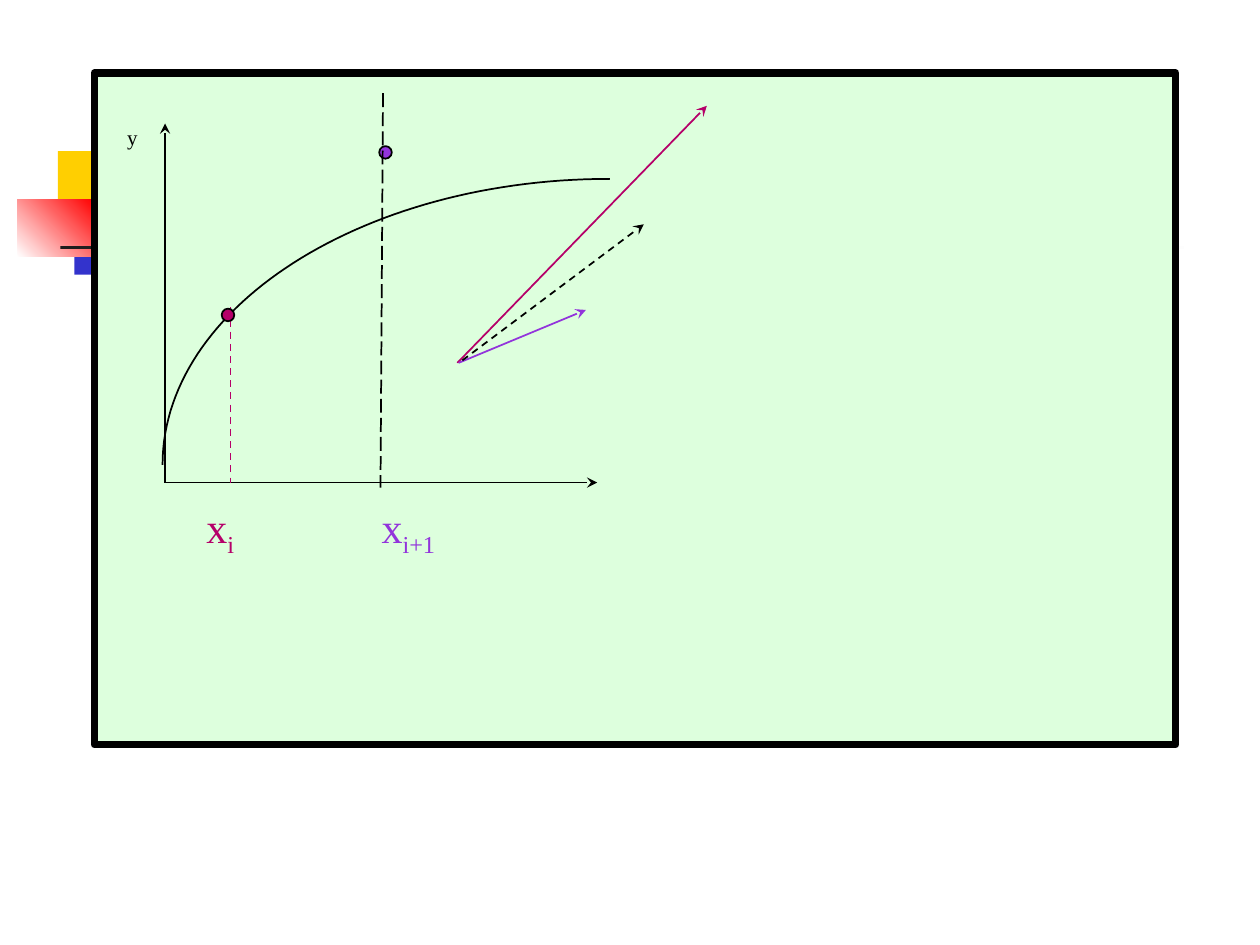
from dataclasses import dataclass
from lxml.etree import SubElement
from pptx import Presentation
from pptx.dml.color import RGBColor
from pptx.enum.dml import MSO_LINE
from pptx.enum.shapes import MSO_CONNECTOR, MSO_SHAPE
from pptx.enum.text import MSO_AUTO_SIZE
from pptx.oxml.ns import qn
from pptx.util import Inches, Pt


@dataclass(frozen=True)
class Theme:
    black: str = "000000"
    white: str = "FFFFFF"
    ink: str = "1C1C1C"
    yellow: str = "FFCF01"
    blue: str = "3333CC"
    red: str = "FF0000"
    mint: str = "DDFFDD"
    start: str = "B50069"
    end: str = "9234DB"
    font: str = "Times New Roman"
    axis_size: int = 12
    label_size: int = 24
    thin: float = 1
    frame: float = 4.5


theme = Theme()
COLUMNS, ROWS = 100, 75
deck = Presentation()
deck.slide_width, deck.slide_height = Inches(10), Inches(7.5)
cell = deck.slide_width // COLUMNS
slide = deck.slides.add_slide(deck.slide_layouts[6])
shapes = slide.shapes


def add_text(runs, *, left, top, width, height, size, wrap=False, tab=None):
    box = shapes.add_textbox(*[int(v * cell) for v in (left, top, width, height)])
    frame = box.text_frame
    frame.word_wrap = wrap
    frame.auto_size = MSO_AUTO_SIZE.SHAPE_TO_FIT_TEXT
    paragraph = frame.paragraphs[0]
    if tab:
        stops = SubElement(paragraph._p.get_or_add_pPr(), qn("a:tabLst"))
        SubElement(stops, qn("a:tab"), pos=str(int(tab * cell)), algn="l")
    for text, color, baseline in runs:
        run = paragraph.add_run()
        run.text = text
        run.font.name = theme.font
        run.font.size = Pt(size)
        run.font.color.rgb = RGBColor.from_string(color)
        if baseline:
            run._r.get_or_add_rPr().set("baseline", str(baseline * 1000))


def add_line(start, finish, color, dash=None, arrow=False):
    ends = [int(v * cell) for v in (*start, *finish)]
    line = shapes.add_connector(MSO_CONNECTOR.STRAIGHT, *ends)
    line.line.color.rgb = RGBColor.from_string(color)
    line.line.width = Pt(theme.thin)
    if dash:
        line.line.dash_style = dash
    if arrow:
        SubElement(line.line._get_or_add_ln(), qn("a:tailEnd"), type="stealth")
    SubElement(line._element.spPr, qn("a:effectLst"))


panels = [
    (4.6, 12, 4.8, 5.2, [theme.yellow], 0, None),
    (5.9, 16.6, 4.6, 5.2, [theme.blue], 0, None),
    (1.4, 15.8, 6.1, 4.6, [theme.white, theme.red], 45, None),
    (4.8, 19.5, 90, 0.3, [theme.ink, theme.white], 0, None),
    (7.5, 5.8, 85.8, 53.3, [theme.mint], 0, theme.frame),
]
for left, top, width, height, colors, angle, border in panels:
    panel = shapes.add_shape(
        MSO_SHAPE.RECTANGLE, *[int(v * cell) for v in (left, top, width, height)]
    )
    panel.shadow.inherit = False
    if len(colors) == 1:
        panel.fill.solid()
        panel.fill.fore_color.rgb = RGBColor.from_string(colors[0])
    else:
        panel.fill.gradient()
        panel.fill.gradient_angle = angle
        for stop, color in zip(panel.fill.gradient_stops, colors):
            stop.color.rgb = RGBColor.from_string(color)
    if border:
        panel.line.color.rgb = RGBColor.from_string(theme.black)
        panel.line.width = Pt(border)
    else:
        panel.line.fill.background()

origin = (13.1, 38.3)
add_line(origin, (origin[0], 9.8), theme.black, arrow=True)
add_line(origin, (47.4, origin[1]), theme.black, arrow=True)
add_text([("y", theme.black, 0)], left=9.1, top=9.4, width=2.8, height=3,
         size=theme.axis_size)

controls = [(12.9, 36.9), (12.9, 24.4), (28.8, 14.2), (48.4, 14.2)]
STEPS = 60
curve_points = []
for step in range(STEPS + 1):
    t = step / STEPS
    weights = ((1 - t) ** 3, 3 * t * (1 - t) ** 2, 3 * t**2 * (1 - t), t**3)
    curve_points.append(
        tuple(sum(w * p[axis] for w, p in zip(weights, controls)) * cell for axis in (0, 1))
    )
outline = shapes.build_freeform(*curve_points[0])
outline.add_line_segments(curve_points[1:], close=False)
curve = outline.convert_to_shape()
curve.shadow.inherit = False
curve.fill.background()
curve.line.color.rgb = RGBColor.from_string(theme.black)
curve.line.width = Pt(theme.thin)

add_line((18.3, 24.4), (18.3, origin[1]), theme.start, MSO_LINE.DASH)
for left, top, color in [(17.6, 24.5, theme.start), (30.1, 11.6, theme.end)]:
    point = shapes.add_shape(
        MSO_SHAPE.OVAL, int(left * cell), int(top * cell), cell, cell
    )
    point.shadow.inherit = False
    point.fill.solid()
    point.fill.fore_color.rgb = RGBColor.from_string(color)
    point.line.color.rgb = RGBColor.from_string(theme.black)
    point.line.width = Pt(theme.thin)
add_line((30.4, 7.4), (30.2, 38.7), theme.black, MSO_LINE.LONG_DASH)

step_labels = [
    ("x", theme.start, 0),
    ("i", theme.start, -25),
    ("\t", theme.start, 0),
    ("x", theme.end, 0),
    ("i+1", theme.end, -25),
]
add_text(step_labels, left=15.4, top=39.3, width=20.6, height=5,
         size=theme.label_size, wrap=True, tab=13.9)

slopes = [
    ((36.3, 28.8), (56.1, 8.4), theme.start, None),
    ((36.4, 28.8), (46.5, 24.6), theme.end, None),
    ((36.7, 28.6), (51.1, 17.8), theme.black, MSO_LINE.DASH),
]
for start, finish, color, dash in slopes:
    add_line(start, finish, color, dash, arrow=True)

deck.save("out.pptx")
